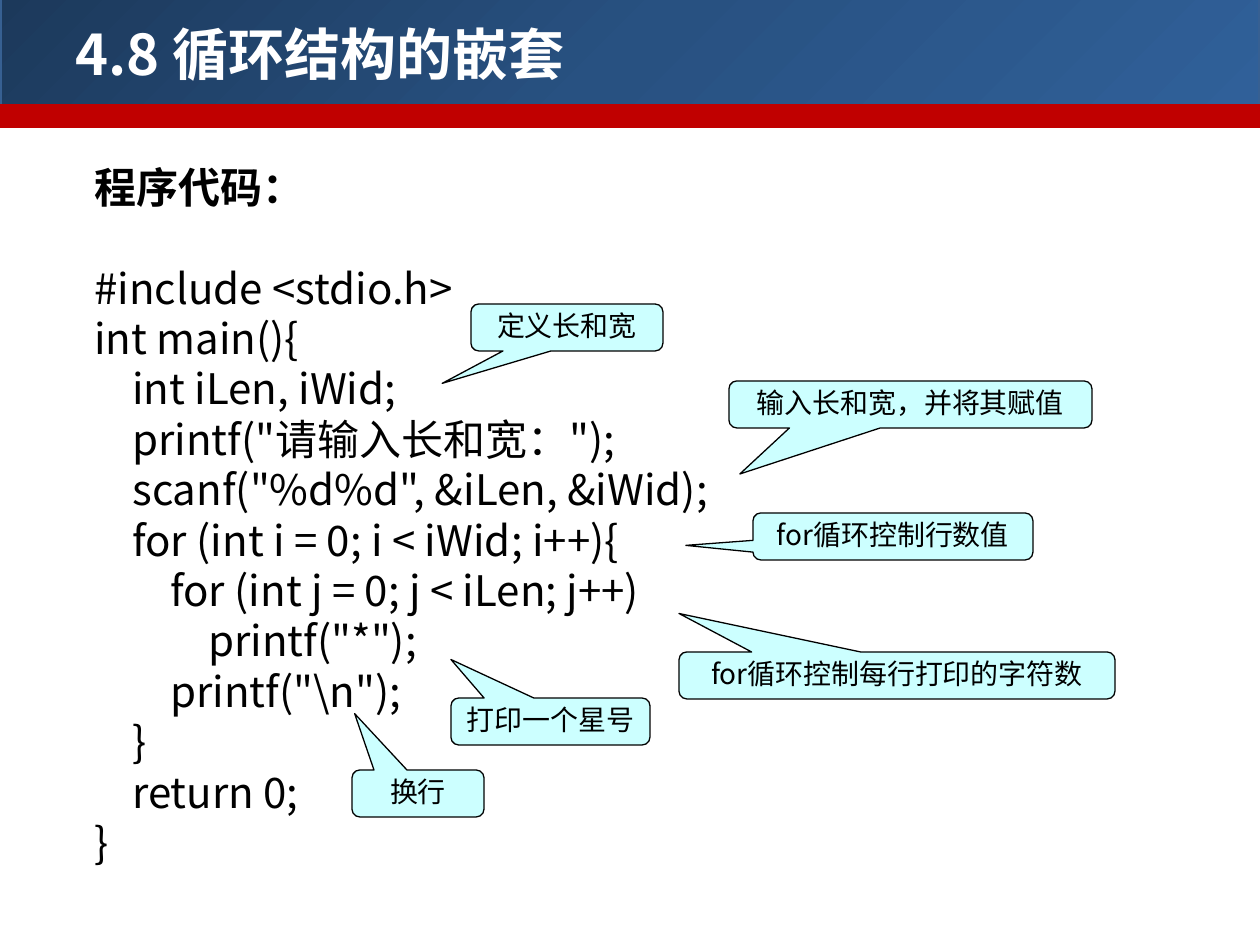
from copy import deepcopy
from dataclasses import dataclass

from lxml.etree import SubElement
from pptx import Presentation
from pptx.dml.color import RGBColor
from pptx.enum.shapes import MSO_SHAPE
from pptx.enum.text import MSO_ANCHOR, PP_ALIGN
from pptx.oxml.ns import qn
from pptx.util import Emu, Pt

FONT = "Noto Sans CJK SC"
WHITE = RGBColor(0xFF, 0xFF, 0xFF)
BLACK = RGBColor(0, 0, 0)
RED = RGBColor(0xC0, 0, 0)
EDGE = RGBColor(0x37, 0x60, 0x92)
CYAN = RGBColor(0xCC, 0xFF, 0xFF)
BLUES = (
    (0, RGBColor(0x1C, 0x39, 0x5B)),
    (0.5, RGBColor(0x28, 0x51, 0x81)),
    (1, RGBColor(0x30, 0x60, 0x99)),
)
PITCH = 28.8
INDENT = 37
STEP = 38


@dataclass
class Box:
    left: int
    top: int
    width: int
    height: int


@dataclass
class Line:
    text: str
    level: int = 0


@dataclass
class Note:
    text: str
    box: Box
    tip_x: float
    tip_y: float


CODE = [
    Line("#include <stdio.h>"),
    Line("int main(){"),
    Line("int iLen, iWid;", 1),
    Line('printf("请输入长和宽：");', 1),
    Line('scanf("%d%d", &iLen, &iWid);', 1),
    Line("for (int i = 0; i < iWid; i++){", 1),
    Line("for (int j = 0; j < iLen; j++)", 2),
    Line('printf("*");', 3),
    Line('printf("\\n");', 2),
    Line("}", 1),
    Line("return 0;", 1),
    Line("}"),
]

NOTES = [
    Note("定义长和宽", Box(471, 304, 192, 47), -0.65, 1.19),
    Note("输入长和宽，并将其赋值", Box(729, 381, 363, 47), -0.47, 1.48),
    Note("for循环控制行数值", Box(753, 513, 280, 47), -0.74, 0.19),
    Note("for循环控制每行打印的字符数", Box(679, 652, 436, 47), -0.5, -1.32),
    Note("打印一个星号", Box(451, 698, 199, 47), -0.5, -1.32),
    Note("换行", Box(352, 770, 132, 47), -0.48, -1.7),
]


def px(n: int) -> Emu:
    return Emu(round(n * 914400 / 126))


def place(box: Box) -> tuple:
    return px(box.left), px(box.top), px(box.width), px(box.height)


def style(para, size: int, color: RGBColor, bold: bool = False) -> None:
    font = para.font
    font.name, font.size, font.bold = FONT, Pt(size), bold
    font.color.rgb = color
    SubElement(font._element, qn("a:ea"), typeface=FONT)


def shape(slide, kind, box: Box, line: RGBColor, width: float):
    item = slide.shapes.add_shape(kind, *place(box))
    item.shadow.inherit = False
    item.line.color.rgb = line
    item.line.width = Pt(width)
    return item


def header(slide) -> None:
    band = shape(slide, MSO_SHAPE.RECTANGLE, Box(0, -6, 1260, 113), EDGE, 2)
    band.fill.gradient()
    band.fill.gradient_angle = 315
    stops = band._element.spPr.find(qn("a:gradFill")).find(qn("a:gsLst"))
    stops.append(deepcopy(stops[0]))
    for stop, (pos, color) in zip(band.fill.gradient_stops, BLUES):
        stop.position = pos
        stop.color.rgb = color
    strip = shape(slide, MSO_SHAPE.RECTANGLE, Box(0, 106, 1260, 20), RED, 2)
    strip.fill.solid()
    strip.fill.fore_color.rgb = RED
    frame = slide.shapes.add_textbox(*place(Box(63, 16, 1162, 74))).text_frame
    frame.word_wrap = True
    frame.vertical_anchor = MSO_ANCHOR.MIDDLE
    para = frame.paragraphs[0]
    para.text = "4.8 循环结构的嵌套"
    style(para, 32, WHITE, True)


def listing(slide) -> None:
    frame = slide.shapes.add_textbox(*place(Box(45, 155, 719, 725))).text_frame
    frame.word_wrap = True
    for i, line in enumerate([Line("程序代码：")] + CODE):
        para = frame.paragraphs[0] if i == 0 else frame.add_paragraph()
        para.text = line.text
        para.alignment = PP_ALIGN.JUSTIFY
        para.line_spacing = Pt(PITCH)
        if i == 1:
            para.space_before = Pt(PITCH)
        indent = px(INDENT + STEP * line.level)
        para._p.get_or_add_pPr().set("indent", str(indent))
        style(para, 24, BLACK, i == 0)


def callout(slide, note: Note) -> None:
    item = shape(slide, MSO_SHAPE.ROUNDED_RECTANGULAR_CALLOUT, note.box, BLACK, 0.75)
    item.adjustments[0] = note.tip_x
    item.adjustments[1] = note.tip_y
    item.fill.solid()
    item.fill.fore_color.rgb = CYAN
    frame = item.text_frame
    frame.word_wrap = True
    frame.vertical_anchor = MSO_ANCHOR.TOP
    frame.margin_top = px(11)
    para = frame.paragraphs[0]
    para.text = note.text
    para.alignment = PP_ALIGN.CENTER
    para.line_spacing = 0.7
    style(para, 16, BLACK)


def main() -> None:
    deck = Presentation()
    deck.slide_width, deck.slide_height = px(1260), px(945)
    slide = deck.slides.add_slide(deck.slide_layouts[6])
    header(slide)
    listing(slide)
    for note in NOTES:
        callout(slide, note)
    deck.save("out.pptx")


if __name__ == "__main__":
    main()
